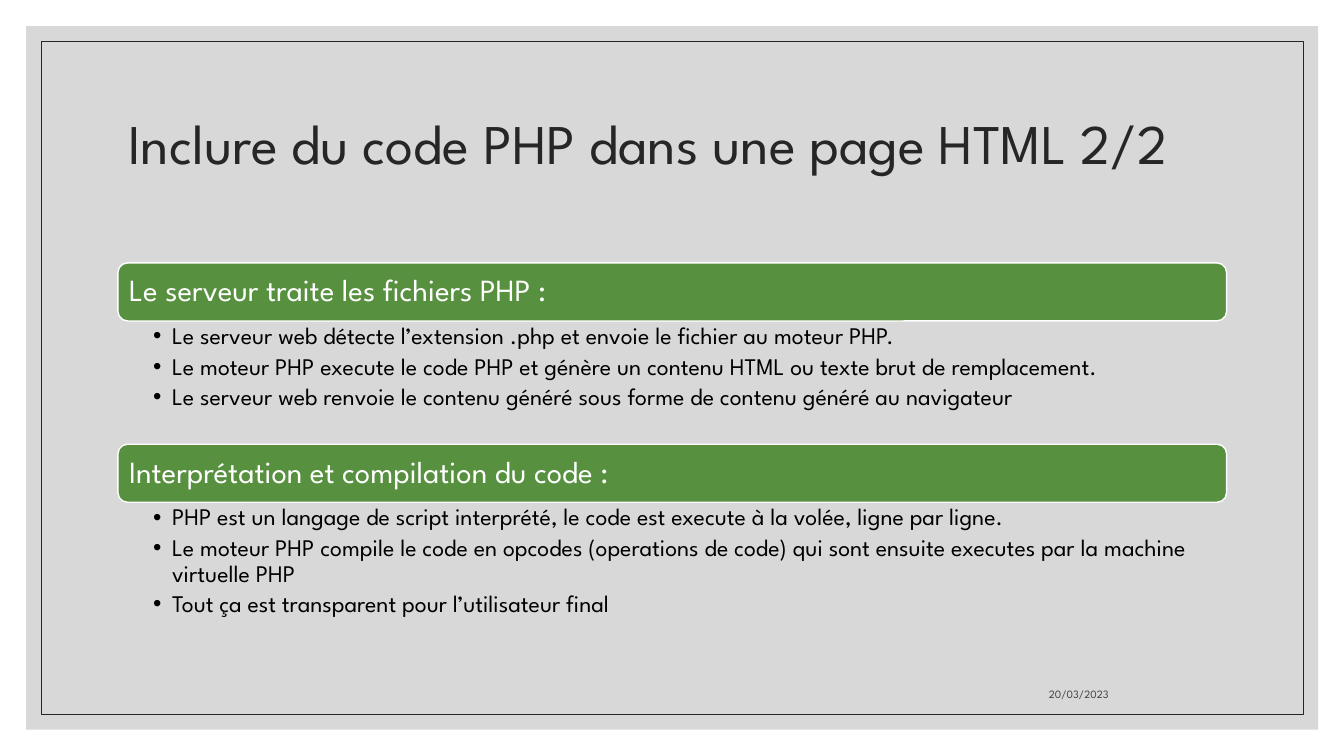
"""Build the slide on including PHP code in an HTML page."""
from lxml.etree import SubElement
from pptx import Presentation
from pptx.dml.color import RGBColor
from pptx.enum.shapes import MSO_SHAPE
from pptx.enum.text import MSO_ANCHOR, MSO_AUTO_SIZE, PP_ALIGN
from pptx.oxml.ns import qn
from pptx.util import Pt

COLORS = {
    "panel": "BFBFBF", "title": "262626", "date": "404040",
    "bar": "57903F", "white": "FFFFFF", "body": "000000",
}
FONT = "League Spartan"
LEFT, WIDTH = 84.24, 792
BAR_HEIGHT, LIST_HEIGHT = 41.5, 88
FIRST_TOP, SECTION_STEP = 187.8, 129.5

SECTIONS = [
    ("Le serveur traite les fichiers PHP :", [
        "Le serveur web détecte l’extension .php et envoie le fichier au moteur PHP.",
        "Le moteur PHP execute le code PHP et génère un contenu HTML ou texte brut de remplacement.",
        "Le serveur web renvoie le contenu généré sous forme de contenu généré au navigateur",
    ]),
    ("Interprétation et compilation du code :", [
        "PHP est un langage de script interprété, le code est execute à la volée, ligne par ligne.",
        "Le moteur PHP compile le code en opcodes (operations de code) qui sont ensuite executes "
        "par la machine virtuelle PHP",
        "Tout ça est transparent pour l’utilisateur final",
    ]),
]


def write(shape, lines, size, color, anchor=MSO_ANCHOR.TOP, align=PP_ALIGN.LEFT,
          margins=(7.2, 3.6, 7.2, 3.6), spacing=0.9, after=0, bullet=False):
    frame = shape.text_frame
    frame.word_wrap = True
    frame.auto_size = MSO_AUTO_SIZE.NONE
    frame.vertical_anchor = anchor
    frame.margin_left, frame.margin_top, frame.margin_right, frame.margin_bottom = map(Pt, margins)
    frame.text = "\n".join(lines)
    for paragraph in frame.paragraphs:
        paragraph.alignment = align
        paragraph.line_spacing = spacing
        paragraph.space_before = Pt(0)
        paragraph.space_after = Pt(after)
        font = paragraph.runs[0].font
        font.name = FONT
        font.size = Pt(size)
        font.color.rgb = RGBColor.from_string(COLORS[color])
        if bullet:
            paragraph.level = 1
            properties = paragraph._p.get_or_add_pPr()
            properties.set("marL", str(Pt(13.5)))
            properties.set("indent", str(Pt(-13.5)))
            SubElement(properties, qn("a:buFont")).set("typeface", "Arial")
            SubElement(properties, qn("a:buChar")).set("char", "•")


def add_box(kind, left, top, width, height, fill=None, line=None, line_width=1):
    box = slide.shapes.add_shape(kind, Pt(left), Pt(top), Pt(width), Pt(height))
    box.shadow.inherit = False
    if fill:
        box.fill.solid()
        box.fill.fore_color.rgb = RGBColor.from_string(COLORS[fill])
    else:
        box.fill.background()
    if line:
        box.line.color.rgb = RGBColor.from_string(COLORS[line])
        box.line.width = Pt(line_width)
    else:
        box.line.fill.background()
    return box


presentation = Presentation()
presentation.slide_width, presentation.slide_height = Pt(960), Pt(540)
slide = presentation.slides.add_slide(presentation.slide_layouts[5])

panel = add_box(MSO_SHAPE.RECTANGLE, 18.72, 18.72, 922.8, 502.56, fill="panel")
panel_color = panel._element.spPr.find(qn("a:solidFill")).find(qn("a:srgbClr"))
SubElement(panel_color, qn("a:alpha")).set("val", "60000")
add_box(MSO_SHAPE.RECTANGLE, 29.52, 29.52, 901.44, 480.96, line="title", line_width=0.5)

title = slide.shapes.title
title.left, title.top, title.width, title.height = Pt(LEFT), Pt(50.4), Pt(WIDTH), Pt(108)
write(title, ["Inclure du code PHP dans une page HTML 2/2"], 40, "title", anchor=MSO_ANCHOR.MIDDLE)
slide.shapes.element.append(title.element)

date = slide.shapes.add_textbox(Pt(571.68), Pt(475.2), Pt(227.5), Pt(28.8))
write(date, ["20/03/2023"], 8, "date", anchor=MSO_ANCHOR.BOTTOM, align=PP_ALIGN.RIGHT,
      spacing=1.0, after=6)

for index, (heading, points) in enumerate(SECTIONS):
    top = FIRST_TOP + index * SECTION_STEP
    bar = add_box(MSO_SHAPE.ROUNDED_RECTANGLE, LEFT, top, WIDTH, BAR_HEIGHT,
                  fill="bar", line="white")
    write(bar, [heading], 22, "white", anchor=MSO_ANCHOR.MIDDLE, margins=(6, 6, 6, 6))
    details = slide.shapes.add_textbox(Pt(LEFT), Pt(top + BAR_HEIGHT), Pt(WIDTH), Pt(LIST_HEIGHT))
    write(details, points, 17, "body", margins=(25.2, 2.16, 12.24, 2.16), after=3.4, bullet=True)

presentation.save("out.pptx")
